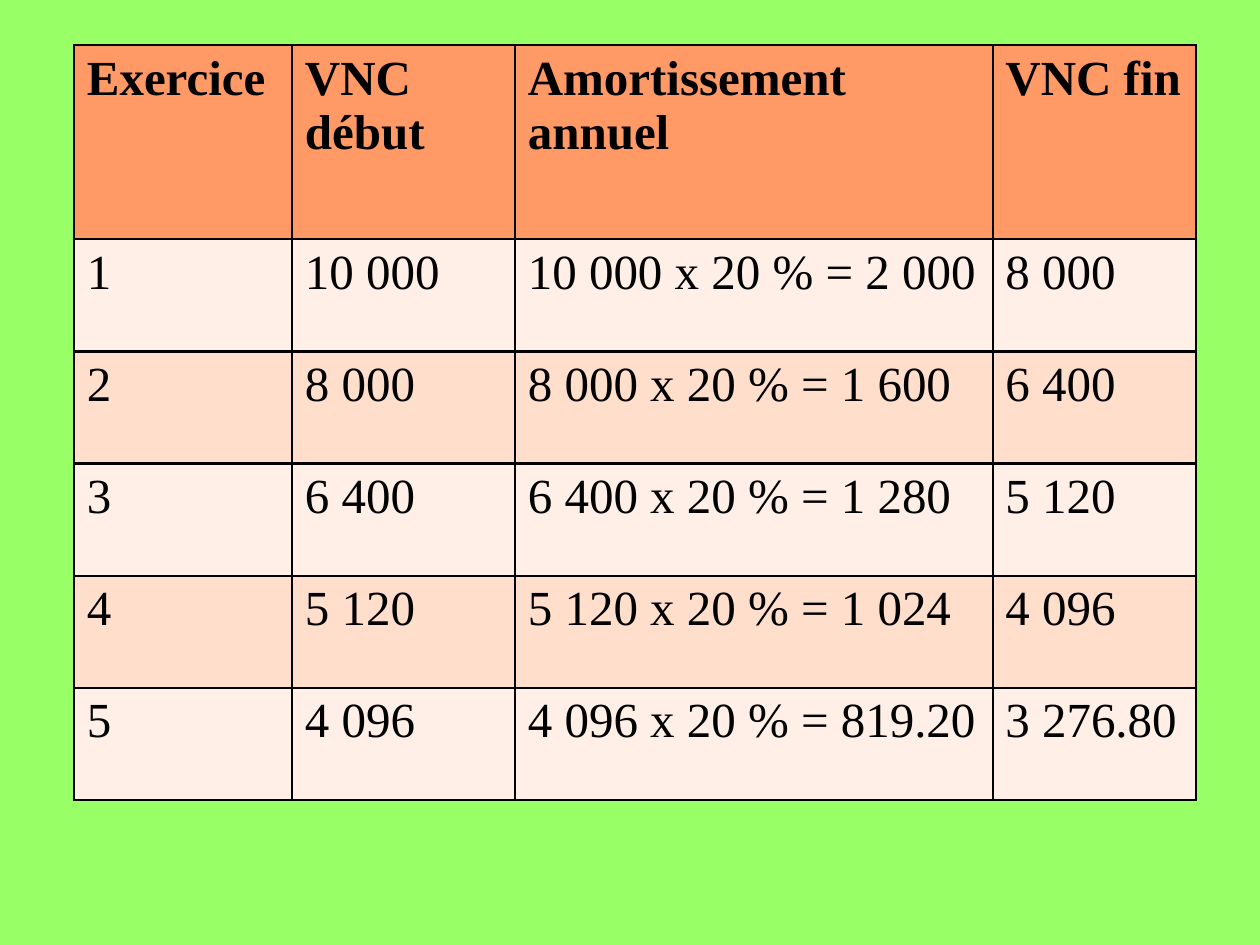
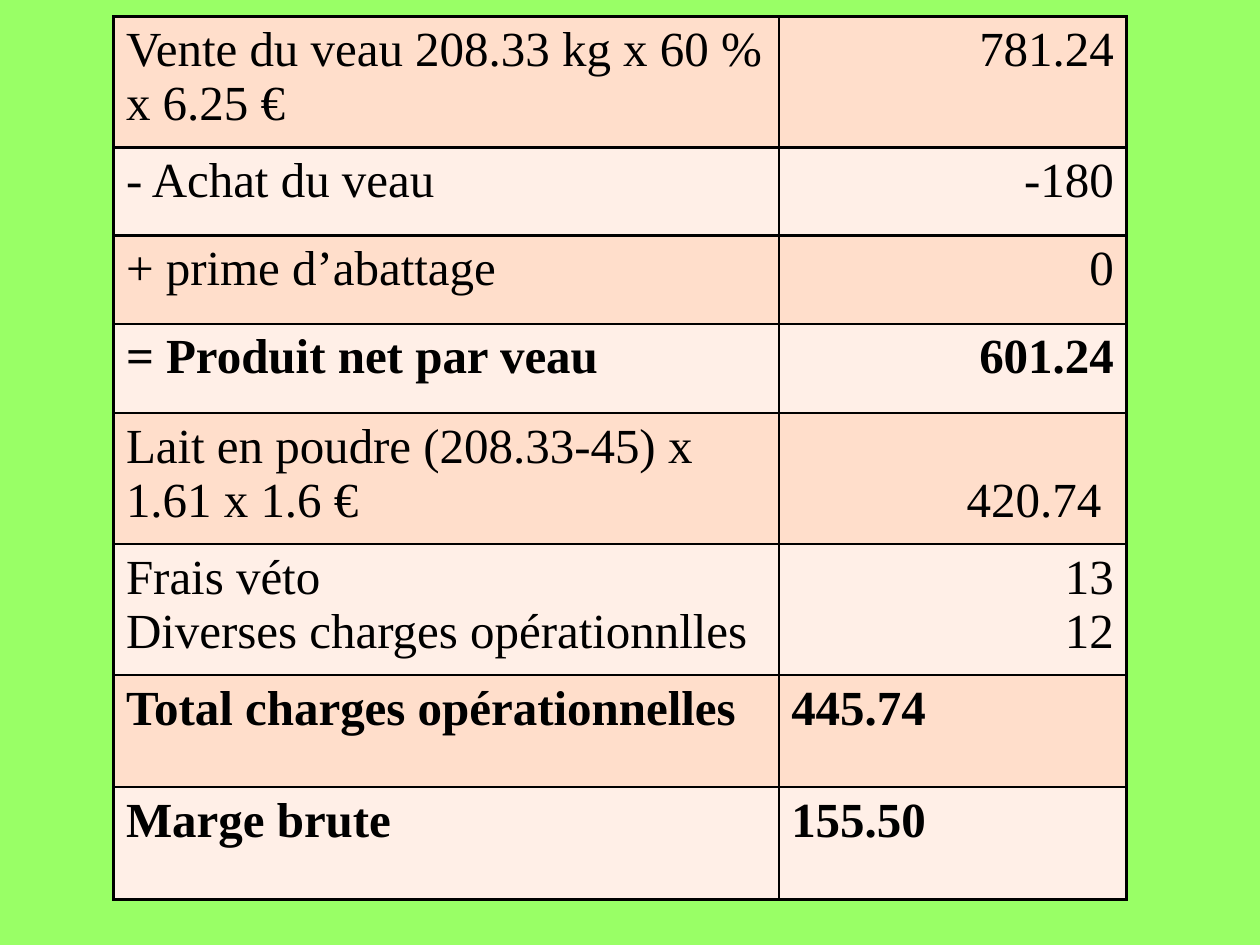
"""Builds two slides: a declining-balance depreciation table and the gross margin of a calf."""
from lxml import etree
from pptx import Presentation
from pptx import util as u
from pptx.dml import color
from pptx.enum import text

DRAWING_NS = "http://schemas.openxmlformats.org/drawingml/2006/main"
FONT, TEXT_SIZE = "Times New Roman", 28
BACKGROUND, INK, HEADER = "99FF66", "000000", "FF9966"
BANDS = ["FFDECB", "FFEFE7"]
BORDER = (
    f'<a:{{side}} xmlns:a="{DRAWING_NS}" w="{u.Pt(1.47)}">'
    f'<a:solidFill><a:srgbClr val="{INK}"/></a:solidFill></a:{{side}}>'
)


def rgb(hex_string):
    return color.RGBColor.from_string(hex_string)


def add_ruled_table(left, top, widths, heights, rows, bold_rows, has_header=False):
    slide = prs.slides.add_slide(prs.slide_layouts[6])
    frame = slide.shapes.add_table(
        len(rows), len(widths), u.Inches(left), u.Inches(top),
        u.Inches(sum(widths)), u.Inches(sum(heights)))
    table = frame.table
    table.first_row = has_header
    table.horz_banding = False
    for column, width in zip(table.columns, widths):
        column.width = u.Inches(width)
    for r, (row, height) in enumerate(zip(rows, heights)):
        table.rows[r].height = u.Inches(height)
        for c, content in enumerate(row):
            cell = table.cell(r, c)
            properties = cell._tc.get_or_add_tcPr()
            for side in ("lnL", "lnR", "lnT", "lnB"):
                properties.append(etree.fromstring(BORDER.format(side=side)))
            cell.fill.solid()
            cell.fill.fore_color.rgb = rgb(HEADER if has_header and r == 0 else BANDS[r % 2])
            cell.text_frame.text = content
            for paragraph in cell.text_frame.paragraphs:
                for run in paragraph.runs:
                    run.font.name = FONT
                    run.font.size = u.Pt(TEXT_SIZE)
                    run.font.bold = r in bold_rows
                    run.font.color.rgb = rgb(INK)
    return table


prs = Presentation()
prs.slide_width, prs.slide_height = u.Inches(10), u.Inches(7.5)
master_fill = prs.slide_master.background.fill
master_fill.solid()
master_fill.fore_color.rgb = rgb(BACKGROUND)

depreciation = [
    ("Exercice", "VNC début", "Amortissement annuel", "VNC fin"),
    ("1", "10 000", "10 000 x 20 % = 2 000", "8 000"),
    ("2", "8 000", "8 000 x 20 % = 1 600", "6 400"),
    ("3", "6 400", "6 400 x 20 % = 1 280", "5 120"),
    ("4", "5 120", "5 120 x 20 % = 1 024", "4 096"),
    ("5", "4 096", "4 096 x 20 % = 819.20", "3 276.80"),
]
add_ruled_table(0.59, 0.36, [1.73, 1.77, 3.79, 1.61], [1.54] + [0.89] * 5,
                depreciation, bold_rows={0}, has_header=True)

margin = [
    ("Vente du veau 208.33 kg x 60 % x 6.25 €", "781.24"),
    ("- Achat du veau", "-180"),
    ("+ prime d’abattage", "0"),
    ("= Produit net par veau", "601.24"),
    ("Lait en poudre (208.33-45) x 1.61 x 1.6 €", "420.74"),
    ("Frais véto\nDiverses charges opérationnlles", "13\n12"),
    ("Total charges opérationnelles", "445.74"),
    ("Marge brute", "155.50"),
]
margin_table = add_ruled_table(
    0.9, 0.13, [5.28, 2.76], [1.04, 0.7, 0.7, 0.71, 1.04, 1.04, 0.89, 0.89],
    margin, bold_rows={3, 6, 7})

for r in range(6):
    for amount in margin_table.cell(r, 1).text_frame.paragraphs:
        amount.alignment = text.PP_ALIGN.RIGHT

milk_cost = margin_table.cell(4, 1)
milk_cost.margin_top = u.Inches(0.48)
milk_cost.margin_right = u.Inches(0.2)

prs.save("out.pptx")
